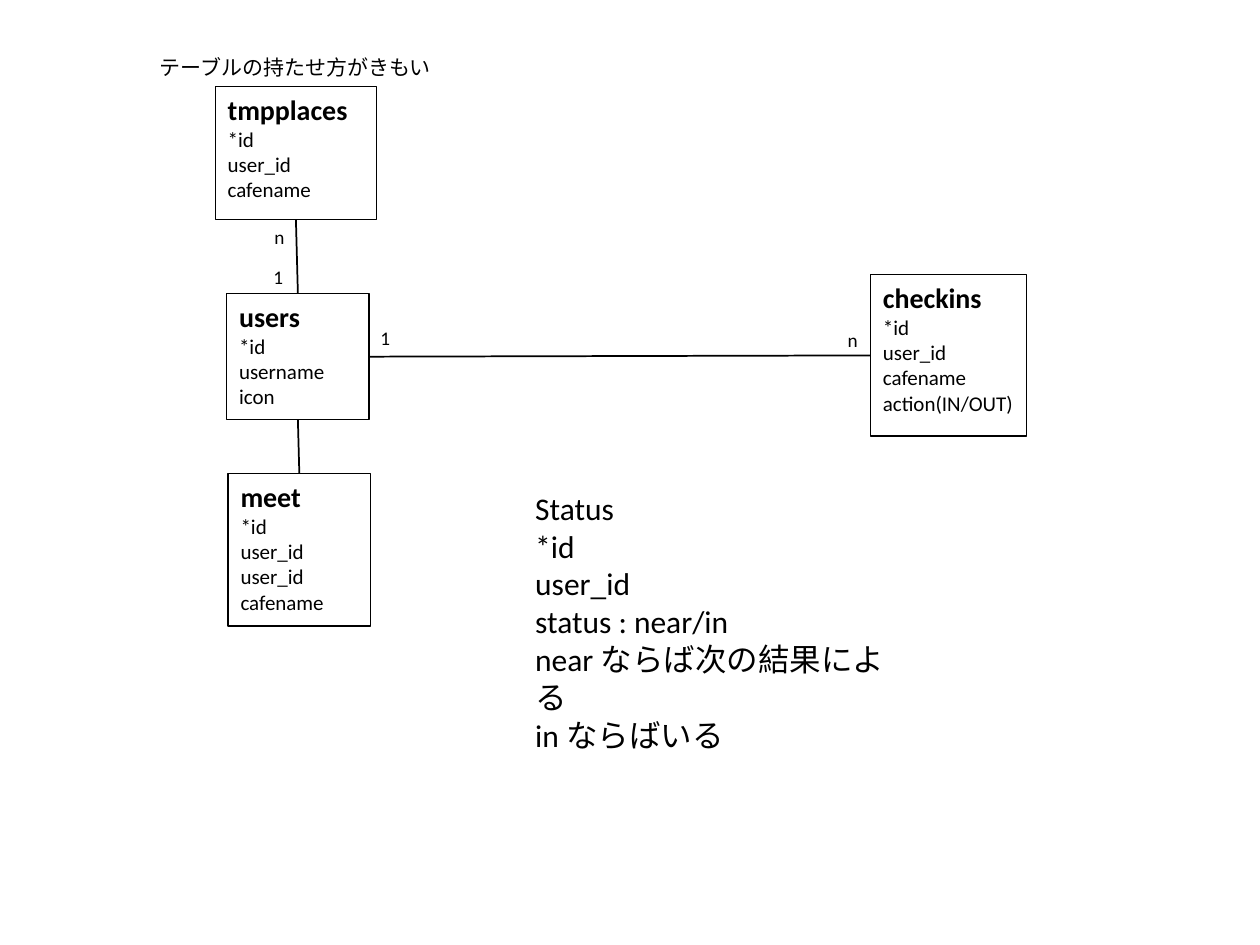
import pptx
import pptx.dml.color
import pptx.enum.shapes
import pptx.enum.text
import pptx.oxml.ns
import pptx.util
import lxml.etree

Cm = pptx.util.Cm
Pt = pptx.util.Pt
BLACK = pptx.dml.color.RGBColor(0x00, 0x00, 0x00)
WHITE = pptx.dml.color.RGBColor(0xFF, 0xFF, 0xFF)
LATIN = "Calibri"
JAPANESE = "Noto Sans CJK JP"
TOP, LEFT, BOTTOM, RIGHT = range(4)


class Diagram:
    def __init__(self, slide):
        self.shapes = slide.shapes

    def set_lines(self, frame, lines, size, font=LATIN, heading_size=None):
        frame.text = "\n".join(lines)
        frame.vertical_anchor = pptx.enum.text.MSO_ANCHOR.TOP
        for index, paragraph in enumerate(frame.paragraphs):
            paragraph.alignment = pptx.enum.text.PP_ALIGN.LEFT
            heading = heading_size is not None and index == 0
            for run in paragraph.runs:
                run.font.name = font
                run.font.size = Pt(heading_size if heading else size)
                run.font.bold = heading
                run.font.color.rgb = BLACK
                east_asian = lxml.etree.SubElement(
                    run.font._element, pptx.oxml.ns.qn("a:ea"))
                east_asian.set("typeface", JAPANESE)

    def entity(self, left, top, width, height, name, fields):
        box = self.shapes.add_shape(
            pptx.enum.shapes.MSO_SHAPE.RECTANGLE,
            Cm(left), Cm(top), Cm(width), Cm(height))
        box.shadow.inherit = False
        box.fill.solid()
        box.fill.fore_color.rgb = WHITE
        box.line.color.rgb = BLACK
        box.line.width = Pt(0.75)
        box.text_frame.margin_right = Cm(0.1)
        self.set_lines(box.text_frame, [name, *fields], 12, heading_size=16)
        return box

    def relation(self, start, start_side, end, end_side):
        link = self.shapes.add_connector(
            pptx.enum.shapes.MSO_CONNECTOR.STRAIGHT, 0, 0, 0, 0)
        link.begin_connect(start, start_side)
        link.end_connect(end, end_side)
        link.line.color.rgb = BLACK
        link.line.width = Pt(1)
        lxml.etree.SubElement(
            link._element.spPr, pptx.oxml.ns.qn("a:effectLst"))

    def label(self, left, top, width, height, lines, size, font=LATIN, wrap=False):
        box = self.shapes.add_textbox(Cm(left), Cm(top), Cm(width), Cm(height))
        box.text_frame.word_wrap = wrap
        self.set_lines(box.text_frame, lines, size, font)


presentation = pptx.Presentation()
presentation.slide_width = Cm(25.4)
presentation.slide_height = Cm(19.05)
diagram = Diagram(presentation.slides.add_slide(presentation.slide_layouts[6]))

users = diagram.entity(4.57, 5.92, 2.87, 2.54, "users", ["*id", "username", "icon"])
checkins = diagram.entity(17.55, 5.54, 3.15, 3.25, "checkins",
                          ["*id", "user_id", "cafename", "action(IN/OUT)"])
tmpplaces = diagram.entity(4.34, 1.75, 3.25, 2.67, "tmpplaces",
                           ["*id", "user_id", "cafename"])
meet = diagram.entity(4.6, 9.55, 2.87, 3.07, "meet",
                      ["*id", "user_id", "user_id", "cafename"])

diagram.relation(users, RIGHT, checkins, LEFT)
diagram.relation(users, TOP, tmpplaces, BOTTOM)
diagram.relation(meet, TOP, users, BOTTOM)

for left, top, cardinality in [(5.26, 5.23, "1"), (5.28, 4.42, "n"),
                               (7.42, 6.45, "1"), (16.84, 6.5, "n")]:
    diagram.label(left, top, 0.71, 0.73, [cardinality], 11)

diagram.label(2.97, 0.97, 6.07, 0.76, ["テーブルの持たせ方がきもい"], 12, JAPANESE)
diagram.label(10.54, 9.73, 7.85, 4.88,
              ["Status", "*id", "user_id", "status : near/in",
               "near ならば次の結果による", "in ならばいる"], 18, wrap=True)

presentation.save("out.pptx")
